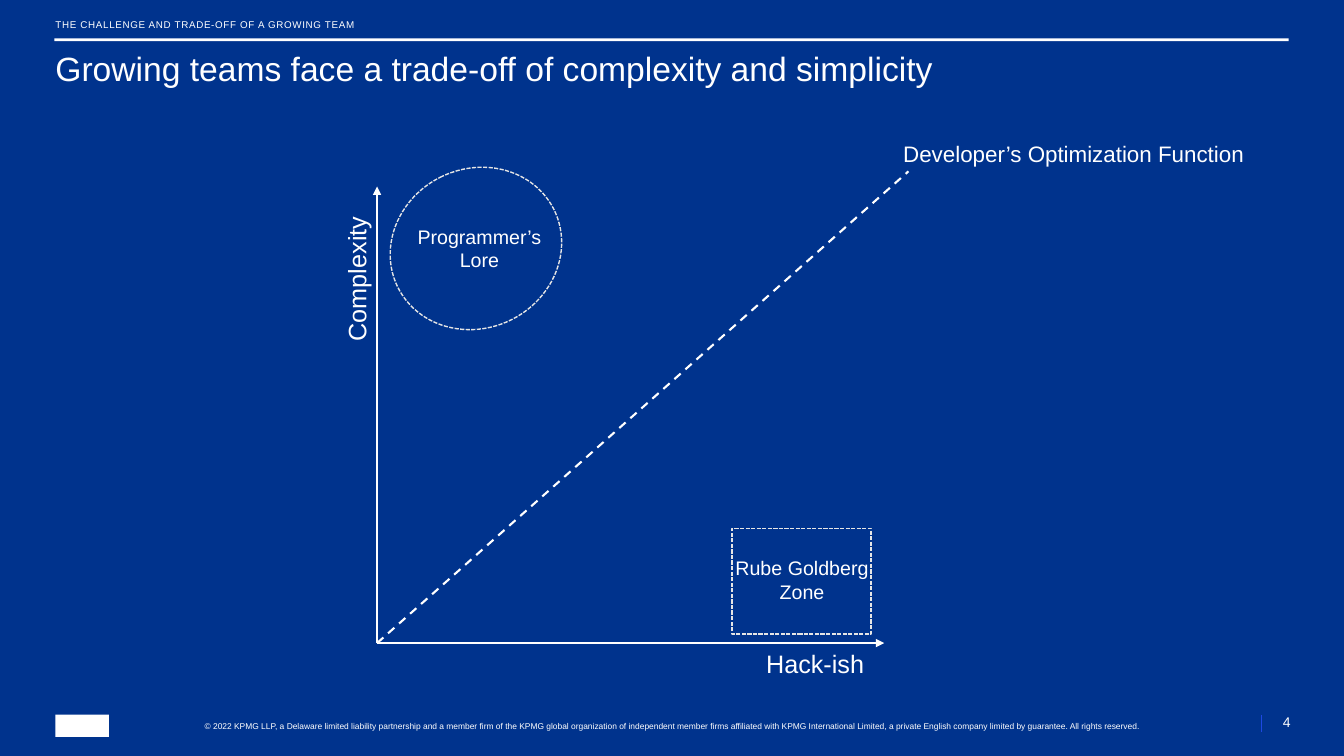
from dataclasses import dataclass

import pptx
import pptx.dml.color
import pptx.enum.dml
import pptx.enum.shapes
import pptx.enum.text
import pptx.oxml.ns
import pptx.util
from lxml import etree

SCALE = 9144  # EMU per px, 100 px to the inch
FONT = "Arial"
COLOURS = {"blue": "00338D", "white": "FFFFFF", "grey": "E5E5E5", "divider": "1E49E2"}

Align = pptx.enum.text.PP_ALIGN
Anchor = pptx.enum.text.MSO_ANCHOR
Preset = pptx.enum.shapes.MSO_SHAPE
Dash = pptx.enum.dml.MSO_LINE

PADDED = (10, 5, 10, 5)
TIGHT = (0, 0, 0, 0)


@dataclass
class Label:
    text: str
    place: tuple[int, int, int, int]
    size: int
    align: Align = Align.LEFT
    anchor: Anchor = Anchor.TOP
    insets: tuple[int, int, int, int] = PADDED
    wrap: bool = True
    rotation: int = 0
    spacing: int = 0  # hundredths of a point


@dataclass
class Line:
    start: tuple[int, int]
    end: tuple[int, int]
    colour: str = "white"
    width: float = 1.5
    dash: Dash | None = None
    arrow: bool = False


@dataclass
class Figure:
    preset: Preset
    place: tuple[int, int, int, int]
    fill: str | None = None
    outline: str | None = None
    rotation: float = 0


ORIGIN = (374, 638)

FIGURES = [
    Figure(Preset.RECTANGLE, (54, 38, 1224, 3), fill="white"),  # header rule
    Figure(Preset.RECTANGLE, (55, 709, 53, 22), fill="white"),  # footer mark
    Figure(Preset.OVAL, (393, 160, 158, 173), outline="grey", rotation=63.3),
    Figure(Preset.RECTANGLE, (726, 524, 138, 105), outline="grey"),
]

LINES = [
    Line((1251, 709), (1251, 726), colour="divider", width=0.5),
    Line(ORIGIN, (374, 185), arrow=True),
    Line(ORIGIN, (877, 638), arrow=True),
    Line(ORIGIN, (901, 170), dash=Dash.DASH),
]

LABELS = [
    # Header
    Label("THE CHALLENGE AND TRADE-OFF OF A GROWING TEAM", (55, 18, 1224, 13), 7,
          anchor=Anchor.BOTTOM, insets=(0, 0, 0, 1), spacing=50),
    Label("Growing teams face a trade-off of complexity and simplicity",
          (55, 48, 1224, 77), 24, insets=TIGHT),
    # Diagram
    Label("Hack-ish", (750, 638, 118, 40), 18, wrap=False),
    Label("Complexity", (281, 256, 145, 40), 18, wrap=False, rotation=270),
    Label("Rube Goldberg Zone", (713, 547, 165, 57), 14, Align.CENTER),
    Label("Programmer’s Lore", (397, 218, 157, 57), 14, Align.CENTER),
    Label("Developer’s Optimization Function", (886, 134, 362, 37), 16, wrap=False),
    # Footer
    Label("© 2022 KPMG LLP, a Delaware limited liability partnership and a member firm "
          "of the KPMG global organization of independent member firms affiliated with "
          "KPMG International Limited, a private English company limited by guarantee. "
          "All rights reserved.", (200, 715, 933, 10), 6, Align.CENTER, insets=TIGHT),
    Label("4", (1253, 709, 27, 16), 10, Align.RIGHT, Anchor.BOTTOM, TIGHT),
]


def emu(*lengths: int) -> list[int]:
    return [length * SCALE for length in lengths]


def colour_of(name: str) -> pptx.dml.color.RGBColor:
    return pptx.dml.color.RGBColor.from_string(COLOURS[name])


def draw_figure(page: pptx.slide.Slide, figure: Figure) -> None:
    shape = page.shapes.add_shape(figure.preset, *emu(*figure.place))
    shape.shadow.inherit = False
    shape.rotation = figure.rotation
    if figure.fill:
        shape.fill.solid()
        shape.fill.fore_color.rgb = colour_of(figure.fill)
    else:
        shape.fill.background()
    if figure.outline:
        shape.line.color.rgb = colour_of(figure.outline)
        shape.line.width = pptx.util.Pt(1)
        shape.line.dash_style = Dash.SQUARE_DOT
    else:
        shape.line.fill.background()


def draw_line(page: pptx.slide.Slide, line: Line) -> None:
    connector = page.shapes.add_connector(
        pptx.enum.shapes.MSO_CONNECTOR.STRAIGHT, *emu(*line.start, *line.end))
    connector.line.color.rgb = colour_of(line.colour)
    connector.line.width = pptx.util.Pt(line.width)
    if line.dash:
        connector.line.dash_style = line.dash
    if line.arrow:
        etree.SubElement(connector.line._get_or_add_ln(),
                         pptx.oxml.ns.qn("a:tailEnd"), type="triangle")
    etree.SubElement(connector._element.spPr, pptx.oxml.ns.qn("a:effectLst"))


def draw_label(page: pptx.slide.Slide, label: Label) -> None:
    box = page.shapes.add_textbox(*emu(*label.place))
    box.rotation = label.rotation
    frame = box.text_frame
    frame.word_wrap = label.wrap
    frame.vertical_anchor = label.anchor
    (frame.margin_left, frame.margin_top,
     frame.margin_right, frame.margin_bottom) = emu(*label.insets)
    para = frame.paragraphs[0]
    para.alignment = label.align
    span = para.add_run()
    span.text = label.text
    para.font.name = FONT
    para.font.size = pptx.util.Pt(label.size)
    para.font.color.rgb = colour_of("white")
    if label.spacing:
        span._r.get_or_add_rPr().set("spc", str(label.spacing))


def main() -> None:
    deck = pptx.Presentation()
    deck.slide_width, deck.slide_height = emu(1333, 750)
    page = deck.slides.add_slide(deck.slide_layouts[6])
    page.background.fill.solid()
    page.background.fill.fore_color.rgb = colour_of("blue")

    for figure in FIGURES:
        draw_figure(page, figure)
    for line in LINES:
        draw_line(page, line)
    for label in LABELS:
        draw_label(page, label)

    deck.save("out.pptx")


if __name__ == "__main__":
    main()
